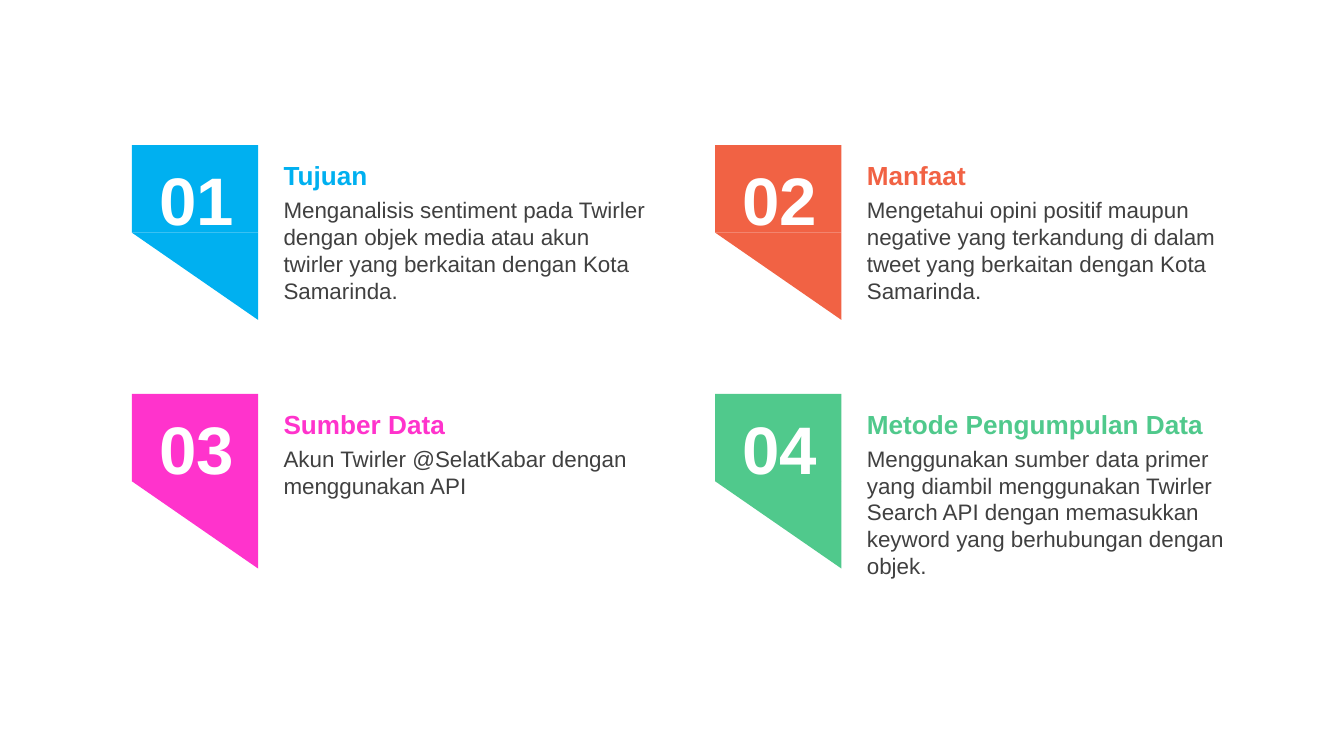
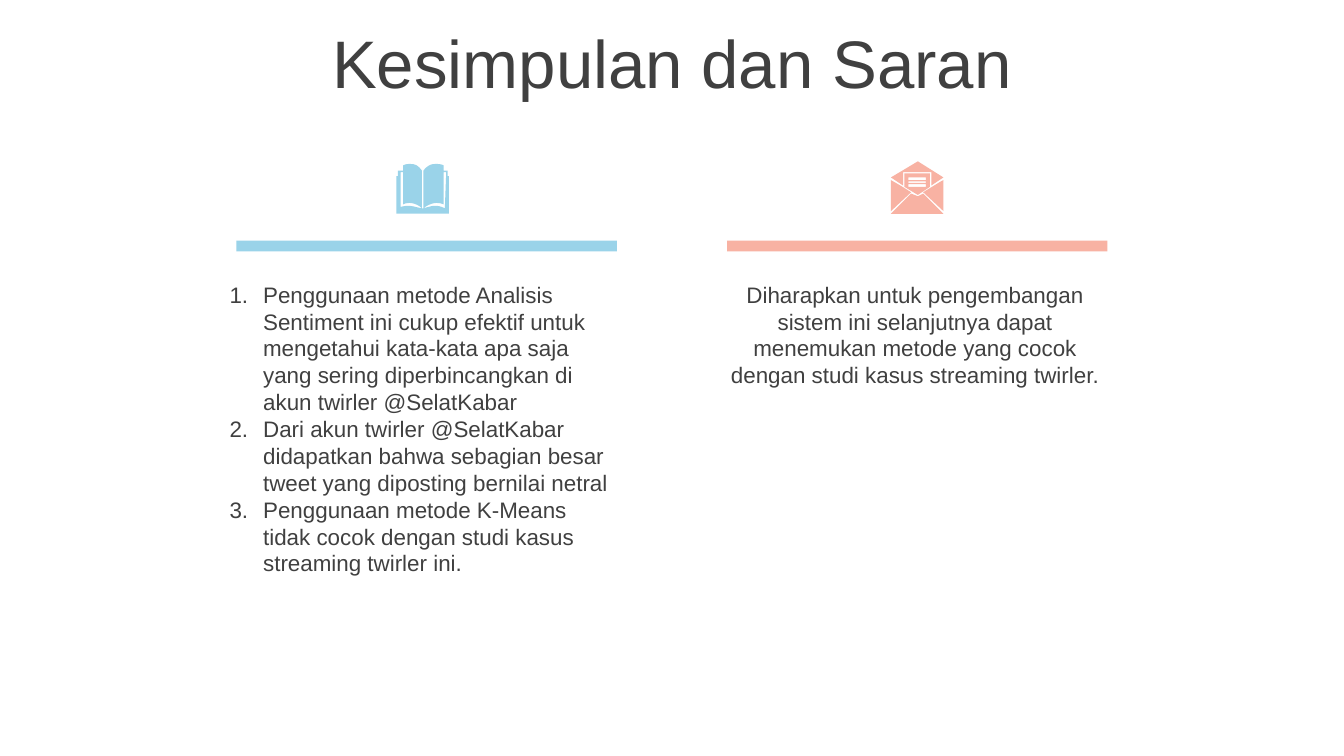
from dataclasses import dataclass

from lxml.etree import SubElement
from pptx import Presentation
from pptx.dml.color import RGBColor as RGB
from pptx.enum.shapes import MSO_SHAPE as SHAPE
from pptx.enum.text import MSO_ANCHOR as ANCHOR, MSO_AUTO_SIZE as AUTO, PP_ALIGN as ALIGN
from pptx.oxml.ns import qn
from pptx.util import Pt


@dataclass(frozen=True)
class Theme:
    font: str = "Arial"
    ink: str = "404040"
    white: str = "FFFFFF"
    blue: str = "00B0F0"
    orange: str = "F16244"
    pink: str = "FF33CC"
    green: str = "50C98C"
    sky: str = "9AD3E9"
    salmon: str = "F8B2A3"
    display: float = 36
    heading: float = 14
    body: float = 12


T = Theme()
ICON_UNIT = 0.72

CARDS = [
    ("Tujuan", T.blue, 80, "Menganalisis sentiment pada Twirler dengan objek media atau akun "
     "twirler yang berkaitan dengan Kota Samarinda."),
    ("Manfaat", T.orange, 65.5, "Mengetahui opini positif maupun negative yang terkandung di dalam "
     "tweet yang berkaitan dengan Kota Samarinda."),
    ("Sumber Data", T.pink, 36, "Akun Twirler @SelatKabar dengan menggunakan API"),
    ("Metode Pengumpulan Data", T.green, 80, "Menggunakan sumber data primer yang diambil "
     "menggunakan Twirler Search API dengan memasukkan keyword yang berhubungan dengan objek."),
]

CONCLUSIONS = [
    "Penggunaan metode Analisis Sentiment ini cukup efektif untuk mengetahui kata-kata apa saja "
    "yang sering diperbincangkan di akun twirler @SelatKabar",
    "Dari akun twirler @SelatKabar didapatkan bahwa sebagian besar tweet yang diposting "
    "bernilai netral",
    "Penggunaan metode K-Means tidak cocok dengan studi kasus streaming twirler ini.",
]
ADVICE = ["Diharapkan untuk pengembangan sistem ini selanjutnya dapat menemukan metode yang cocok "
          "dengan studi kasus streaming twirler."]

# Icon outlines in grid units: a pair is a corner, six numbers are a Bézier curve.
BOOK = [[
    (19, 33), (20, 33), (27, 31, 30, 30, 36, 33), (37, 6), (35, 6), (35, 30),
    (30, 28, 25, 29, 20, 33), (20, 5), (23, 1, 26, 0, 29, 0), (31, 0, 33, 0, 35, 1),
    (35, 5), (38, 5), (38, 9), (39, 9), (39, 37), (0, 37), (0, 9), (1, 9), (1, 5), (5, 5),
    (5, 1), (7, 0, 9, 0, 10, 0), (14, 0, 16, 1, 19, 5), (19, 33), (15, 29, 9, 28, 5, 30),
    (5, 6), (3, 6), (3, 32), (10, 30, 13, 32, 19, 33),
]]
ENVELOPE = [
    [(15, 24), (20, 26), (24, 24), (39, 39), (0, 39)],
    [(39, 14), (39, 37), (24, 23), (37, 15)],
    [(0, 14), (7, 18), (15, 23), (0, 37)],
    [(10, 9), (29, 9), (29, 19), (20, 25), (10, 19)],
    [(20, 0), (39, 12), (30, 18), (30, 8), (9, 8), (9, 18), (0, 12)],
] + [[(13, top), (26, top), (26, end), (13, end)] for top, end in ((12, 14), (15, 16), (17, 19))]


def pts(*lengths):
    return [Pt(n) for n in lengths]


def paint(sp, color):
    sp.shadow.inherit = False
    sp.fill.solid()
    sp.fill.fore_color.rgb = RGB.from_string(color)
    sp.line.fill.background()


def add_block(shapes, kind, box, color):
    sp = shapes.add_shape(kind, *pts(*box))
    paint(sp, color)
    return sp


def add_text(shapes, box, lines, size=T.body, color=T.ink, bold=False,
             anchor=ANCHOR.TOP, **para):
    """Add a text box with one paragraph per line; para holds paragraph formats."""
    tf = shapes.add_textbox(*pts(*box)).text_frame
    for name, value in dict(word_wrap=True, auto_size=AUTO.NONE, vertical_anchor=anchor).items():
        setattr(tf, name, value)
    for i, line in enumerate(lines):
        p = tf.add_paragraph() if i else tf.paragraphs[0]
        for name, value in para.items():
            setattr(p, name, value)
        r = p.add_run()
        r.text = line
        for name, value in dict(name=T.font, size=Pt(size), bold=bold).items():
            setattr(r.font, name, value)
        r.font.color.rgb = RGB.from_string(color)
    return tf


def number_list(tf, indent=18):
    for p in tf.paragraphs:
        pPr = p._p.get_or_add_pPr()
        pPr.set("marL", str(Pt(indent)))
        pPr.set("indent", str(-Pt(indent)))
        SubElement(pPr, qn("a:buFont"), typeface="+mj-lt")
        SubElement(pPr, qn("a:buAutoNum"), type="arabicPeriod")


def flatten(outline, steps=8):
    """Turn corners and curves into a plain list of points."""
    points = []
    for part in outline:
        if len(part) == 2:
            points.append(part)
            continue
        nodes = [points[-1], part[:2], part[2:4], part[4:]]
        for k in range(1, steps + 1):
            t = k / steps
            weights = ((1 - t) ** 3, 3 * t * (1 - t) ** 2, 3 * t * t * (1 - t), t ** 3)
            points.append(tuple(sum(w * n[axis] for w, n in zip(weights, nodes))
                                for axis in (0, 1)))
    return points


def add_icon(shapes, left, bottom, outlines, color):
    contours = [flatten(outline) for outline in outlines]
    height = max(y for contour in contours for _, y in contour) * ICON_UNIT
    # Hundredths of a unit keep the curves smooth.
    grid = [[(round(x * 100), round(y * 100)) for x, y in c] for c in contours]
    fb = shapes.build_freeform(*grid[0][0], scale=Pt(ICON_UNIT) / 100)
    for i, contour in enumerate(grid):
        if i:
            fb.move_to(*contour[0])
        fb.add_line_segments(contour[1:], close=True)
    paint(fb.convert_to_shape(*pts(left, bottom - height)), color)


def add_card(shapes, x, y, number, title, color, body_height, body):
    w, h = 67.7, 46.8
    badge = shapes.add_group_shape().shapes
    add_block(badge, SHAPE.RECTANGLE, (x, y, w, h), color)
    tip = add_block(badge, SHAPE.ISOSCELES_TRIANGLE, (x, y + h, w, h), color)
    tip.adjustments[0] = 0
    tip.rotation = 180
    words = shapes.add_group_shape().shapes
    add_text(words, (x + 74.2, y + 23.8, 209.5, body_height), [body])
    add_text(words, (x + 74.2, y + 4.3, 209.5, 24.5), [title], T.heading, color, True)
    add_text(shapes, (x + 6.5, y + 3.6, 56.2, 51.1), [f"{number:02}"], T.display, T.white, True,
             alignment=ALIGN.CENTER)


def add_column(shapes, x, y, color, icon, icon_dx, lines, height, **para):
    """Place a bar at x, y with its icon above and its text below."""
    add_block(shapes, SHAPE.RECTANGLE, (x, y, 203.8, 5.8), color)
    add_icon(shapes, x + icon_dx, y - 14.4, icon, color)
    return add_text(shapes, (x - 10.8, y + 18, 223.2, height), lines, **para)


def cards_slide(s):
    for i, card in enumerate(CARDS):
        row, col = divmod(i, 2)
        add_card(s.shapes, 70.6 + col * 312.5, 77.8 + row * 133.2, i + 1, *card)


def closing_slide(s):
    add_text(s.shapes, (0, 10.1, 720, 45.4), ["Kesimpulan dan Saran"], T.display,
             anchor=ANCHOR.MIDDLE, alignment=ALIGN.CENTER, space_before=Pt(7.2))
    left, gap, y = 126.7, 262.8, 128.9
    number_list(add_column(s.shapes, left, y, T.sky, BOOK, 85.7, CONCLUSIONS, 181.4))
    add_column(s.shapes, left + gap, y, T.salmon, ENVELOPE, 87.8, ADVICE, 65.5,
               alignment=ALIGN.CENTER)


def main():
    prs = Presentation()
    prs.slide_width, prs.slide_height = pts(720, 405)
    for build in (cards_slide, closing_slide):
        build(prs.slides.add_slide(prs.slide_layouts[6]))
    prs.save("out.pptx")


if __name__ == "__main__":
    main()
